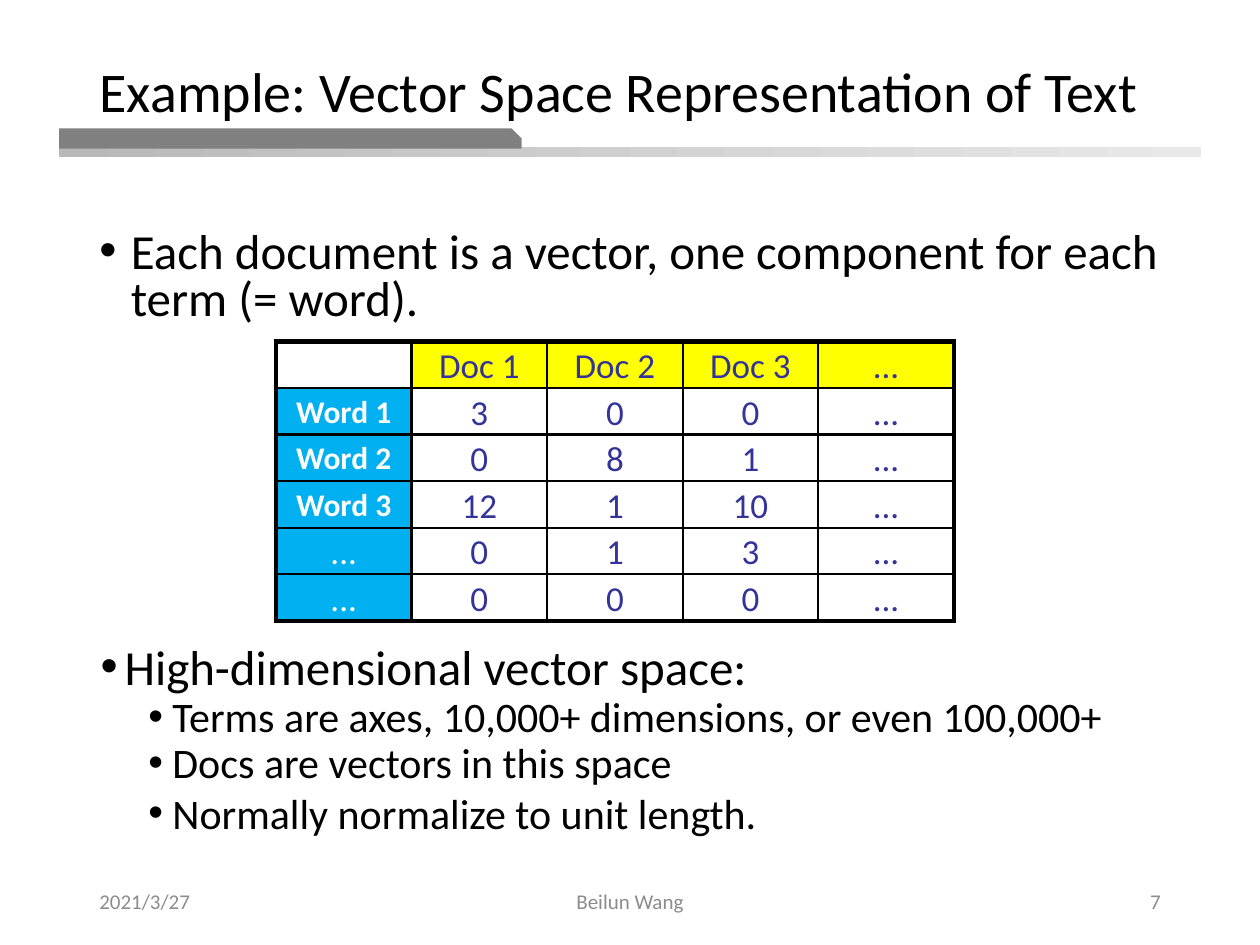
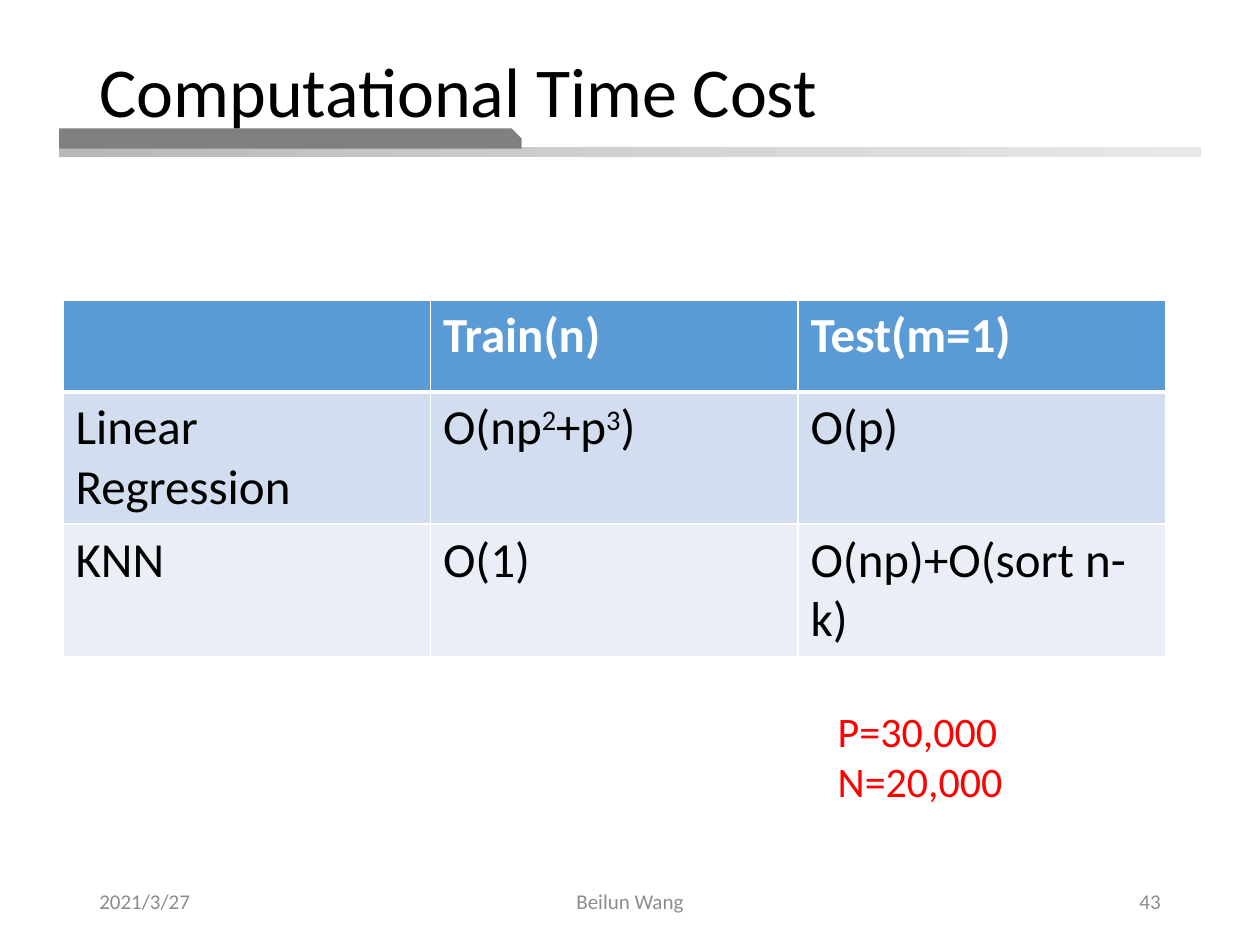
import pptx
import pptx.dml.color
import pptx.enum.shapes
import pptx.enum.text
import pptx.oxml
import pptx.oxml.ns
import pptx.util

Inches = pptx.util.Inches
Pt = pptx.util.Pt
ALIGN = pptx.enum.text.PP_ALIGN
ANCHOR = pptx.enum.text.MSO_ANCHOR
SHAPE = pptx.enum.shapes.MSO_SHAPE

FONT = "Calibri"
COLORS = {
    "black": "000000", "white": "FFFFFF", "red": "FF0000", "footer": "8C8C8C",
    "tab": "808080", "band_start": "B8B8B8", "band_end": "E9E9E9",
    "indigo": "333399", "yellow": "FFFF00", "cyan": "00B0F0",
    "header": "5B9BD5", "row_dark": "D2DEEF", "row_light": "EAEFF7",
}


def rgb(name):
    """Return the named colour as an RGB value."""
    return pptx.dml.color.RGBColor.from_string(COLORS[name])


def format_paragraph(paragraph, size, color, align=ALIGN.LEFT, bold=False):
    """Format a paragraph and all its runs."""
    paragraph.alignment = align
    for run in paragraph.runs:
        run.font.name = FONT
        run.font.size = Pt(size)
        run.font.bold = bold
        run.font.color.rgb = rgb(color)


def add_text(slide, box, lines, size, color, align=ALIGN.LEFT, anchor=ANCHOR.TOP):
    """Add a wrapped text box with one paragraph per line; return its paragraphs."""
    frame = slide.shapes.add_textbox(*map(Inches, box)).text_frame
    frame.word_wrap = True
    frame.vertical_anchor = anchor
    frame.text = "\n".join(lines)
    for paragraph in frame.paragraphs:
        format_paragraph(paragraph, size, color, align)
    return frame.paragraphs


def set_bullet(paragraph, indent, hanging):
    """Give a paragraph a round bullet with a hanging indent, in inches."""
    properties = paragraph._p.get_or_add_pPr()
    properties.set("marL", str(Inches(indent)))
    properties.set("indent", str(-Inches(hanging)))
    namespace = pptx.oxml.ns.nsdecls("a")
    for xml in (f'<a:buFont {namespace} typeface="Arial"/>',
                f'<a:buChar {namespace} char="\u2022"/>'):
        properties.append(pptx.oxml.parse_xml(xml))


def add_band(slide, left, top, width):
    """Add the grey tab and the fading bar below it."""
    bar = slide.shapes.add_shape(
        SHAPE.RECTANGLE, Inches(left), Inches(top + 0.15), Inches(width), Inches(0.08))
    bar.fill.gradient()
    bar.fill.gradient_angle = 0
    for stop, name, position in zip(bar.fill.gradient_stops, ("band_start", "band_end"), (0, 1)):
        stop.color.rgb = rgb(name)
        stop.position = position
    tab = slide.shapes.add_shape(
        SHAPE.SNIP_1_RECTANGLE, Inches(left), Inches(top), Inches(3.67), Inches(0.16))
    tab.adjustments[0] = 0.5
    tab.fill.solid()
    tab.fill.fore_color.rgb = rgb("tab")
    for shape in (bar, tab):
        shape.line.fill.background()
        shape.shadow.inherit = False


def set_title(slide, box, text, size):
    """Place and format the title in front of the band."""
    title = slide.shapes.title
    title.left, title.top, title.width, title.height = map(Inches, box)
    frame = title.text_frame
    frame.text = text
    frame.word_wrap = True
    frame.auto_size = pptx.enum.text.MSO_AUTO_SIZE.NONE
    frame.vertical_anchor = ANCHOR.TOP
    format_paragraph(frame.paragraphs[0], size, "black")
    frame.paragraphs[0].line_spacing = 0.9
    slide.shapes._spTree.append(title._element)


def add_footer(slide, number, top=6.95, height=0.4):
    """Add the date, the author and the slide number."""
    for left, width, text, align in (
            (0.69, 2.25, "2021/3/27", ALIGN.LEFT),
            (3.31, 3.38, "Beilun Wang", ALIGN.CENTER),
            (7.06, 2.25, str(number), ALIGN.RIGHT)):
        add_text(slide, (left, top, width, height), [text], 12, "footer", align, ANCHOR.MIDDLE)


def add_slide(presentation, title_box, title, title_size, number):
    """Start a title-only slide with the shared band, title and footer."""
    slide = presentation.slides.add_slide(presentation.slide_layouts[5])
    add_band(slide, 0.47, 1.02, 9.06)
    set_title(slide, title_box, title, title_size)
    add_footer(slide, number)
    return slide


def add_plain_table(slide, left, top, width, row_heights, column_count):
    """Add a table without style banding, with equal columns."""
    frame = slide.shapes.add_table(
        len(row_heights), column_count, Inches(left), Inches(top),
        Inches(width), Inches(sum(row_heights)))
    table = frame.table
    table.first_row = table.horz_banding = False
    for row, height in zip(table.rows, row_heights):
        row.height = Inches(height)
    return table


def set_cell(cell, fill, color, borders):
    """Draw borders (left, right, top, bottom widths in points), then the fill."""
    properties = cell._tc.get_or_add_tcPr()
    for side, width in zip("LRTB", borders):
        properties.append(pptx.oxml.parse_xml(
            f'<a:ln{side} {pptx.oxml.ns.nsdecls("a")} w="{Pt(width)}"><a:solidFill>'
            f'<a:srgbClr val="{COLORS[color]}"/></a:solidFill></a:ln{side}>'))
    if fill:
        cell.fill.solid()
        cell.fill.fore_color.rgb = rgb(fill)
    else:
        cell.fill.background()


def add_word_table(slide, left, top, width, rows):
    """Add the term-document table with a thick outer frame."""
    last_row, last_column = len(rows) - 1, len(rows[0]) - 1
    table = add_plain_table(slide, left, top, width, [0.37] * len(rows), len(rows[0]))
    for i, row in enumerate(rows):
        for j, text in enumerate(row):
            cell = table.cell(i, j)
            is_word = text.startswith("Word")
            cell.margin_left = cell.margin_right = cell.margin_bottom = 0
            cell.margin_top = Inches(0.04 if is_word else 0.03)
            cell.text_frame.text = text
            format_paragraph(cell.text_frame.paragraphs[0], 18 if is_word else 20,
                             "indigo" if j else "white", ALIGN.CENTER, is_word)
            fill = None
            if i == 0 and j > 0:
                fill = "yellow"
            elif i > 0 and j == 0:
                fill = "cyan"
            on_edge = (j == 0, j == last_column, i == 0, i == last_row)
            set_cell(cell, fill, "black", [3 if edge else 1.5 for edge in on_edge])


def add_cost_table(slide, left, top, width, rows):
    """Add the cost table; a ^ before a digit makes that digit superscript."""
    table = add_plain_table(slide, left, top, width, [0.73, 1.05, 1.05], len(rows[0]))
    for i, row in enumerate(rows):
        for j, text in enumerate(row):
            cell = table.cell(i, j)
            paragraph = cell.text_frame.paragraphs[0]
            base, *powers = text.split("^")
            if base:
                paragraph.add_run().text = base
            for power in powers:
                exponent = paragraph.add_run()
                exponent.text = power[0]
                exponent._r.get_or_add_rPr().set("baseline", "30000")
                paragraph.add_run().text = power[1:]
            format_paragraph(paragraph, 28, "black" if i else "white", bold=i == 0)
            set_cell(cell, ("header", "row_dark", "row_light")[i], "white",
                     (1, 1, 3 if i == 1 else 1, 1 if i else 3))


def add_vector_bullets(slide, box):
    """Add the closing point and its sub-points."""
    paragraphs = add_text(slide, box, [
        "High-dimensional vector space:",
        "Terms are axes, 10,000+ dimensions, or even 100,000+",
        "Docs are vectors in this space",
        "Normally normalize to unit length."], 24, "black")
    format_paragraph(paragraphs[0], 28, "black")
    spacings = ((Pt(25), 0), (Pt(21.2), 5), (Pt(21.4), 5), (1.0, 0))
    for i, (paragraph, (line, before)) in enumerate(zip(paragraphs, spacings)):
        paragraph.level = min(i, 1)
        paragraph.line_spacing = line
        paragraph.space_before = Pt(before)
        set_bullet(paragraph, 0.58 if i else 0.2, 0.19)


def build_vector_slide(presentation):
    """Build the slide on documents as vectors."""
    slide = add_slide(presentation, (0.69, 0.46, 8.73, 0.71),
                      "Example: Vector Space Representation of Text", 32, 7)
    intro = add_text(slide, (0.69, 1.79, 8.62, 0.85), [
        "Each document is a vector, one component for each term (= word)."], 28, "black")[0]
    intro.line_spacing = 0.8
    set_bullet(intro, 0.25, 0.25)
    add_vector_bullets(slide, (0.69, 5.12, 8.62, 1.6))
    add_word_table(slide, 2.19, 2.71, 5.38, [
        ("", "Doc 1", "Doc 2", "Doc 3", "..."),
        ("Word 1", "3", "0", "0", "..."),
        ("Word 2", "0", "8", "1", "..."),
        ("Word 3", "12", "1", "10", "..."),
        ("...", "0", "1", "3", "..."),
        ("...", "0", "0", "0", "...")])


def build_cost_slide(presentation):
    """Build the slide that compares computing costs."""
    slide = add_slide(presentation, (0.69, 0.4, 8.38, 0.64), "Computational Time Cost", 40, 43)
    add_cost_table(slide, 0.5, 2.38, 8.75, [
        ("", "Train(n)", "Test(m=1)"),
        ("Linear Regression", "O(np^2+p^3)", "O(p)"),
        ("KNN", "O(1)", "O(np)+O(sort n-k)")])
    add_text(slide, (6.55, 5.55, 2.52, 0.91), ["P=30,000", "N=20,000"], 24, "red")


def main():
    """Build and save the presentation."""
    presentation = pptx.Presentation()
    presentation.slide_width, presentation.slide_height = Inches(10), Inches(7.5)
    build_vector_slide(presentation)
    build_cost_slide(presentation)
    presentation.save("out.pptx")


main()
